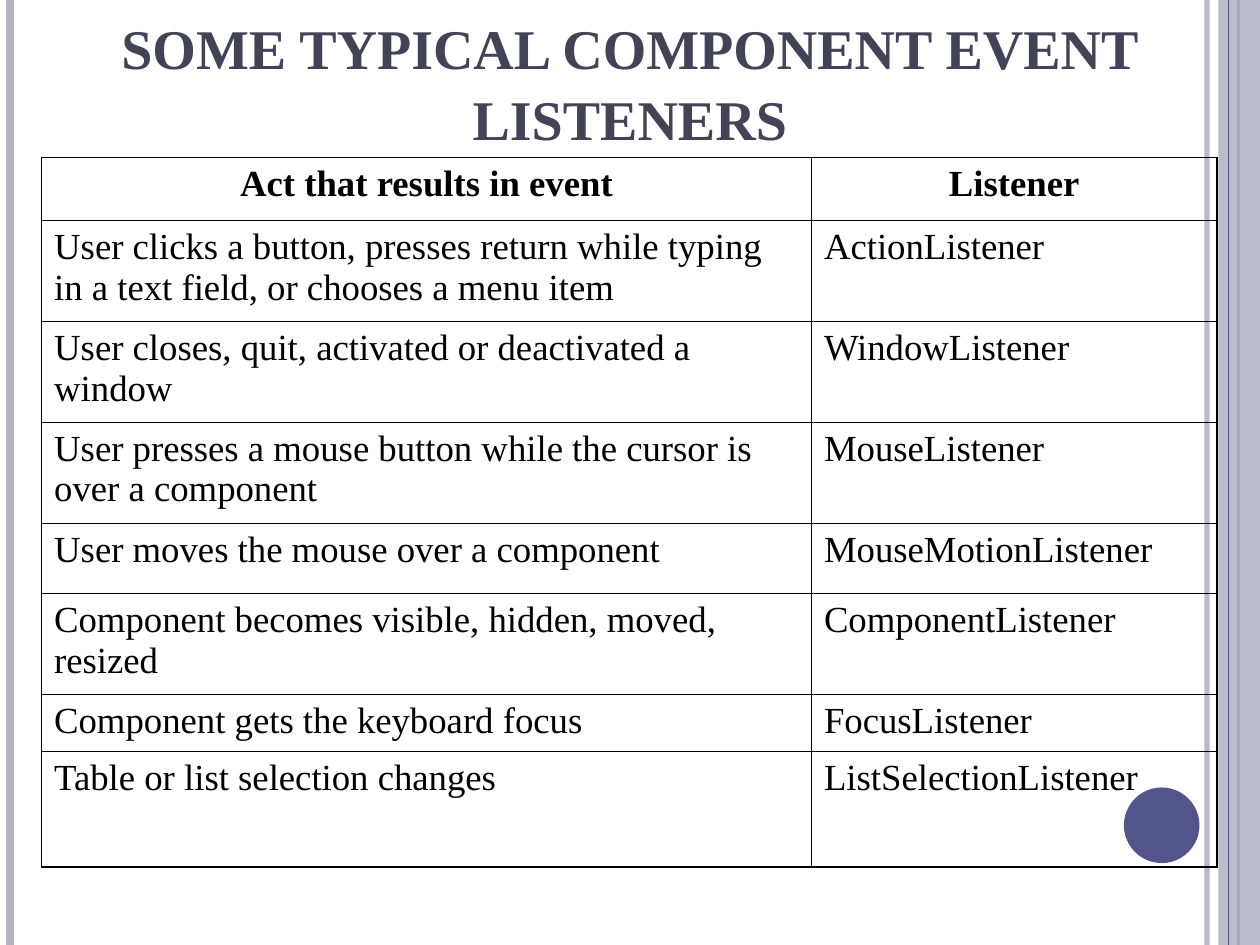
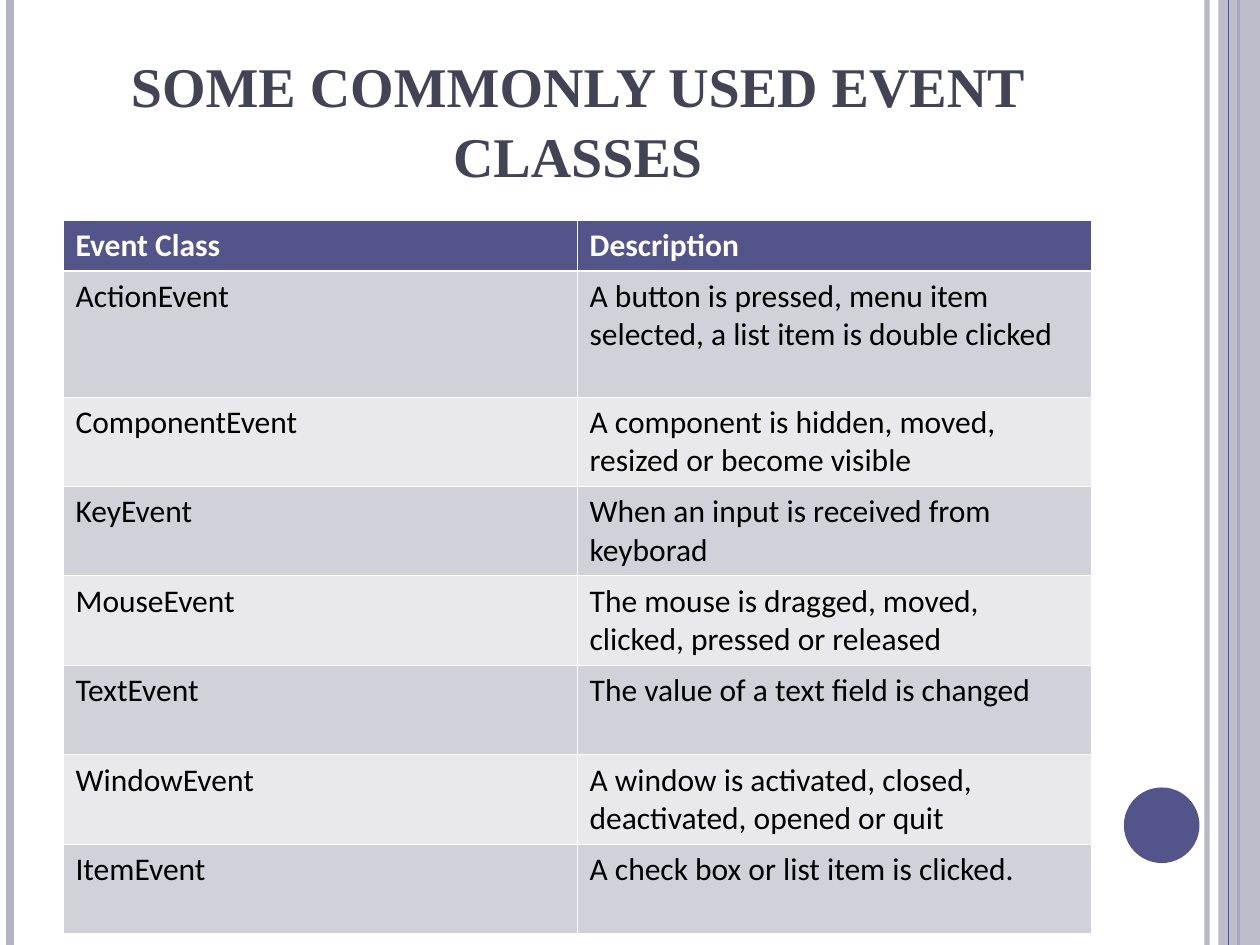
from lxml import etree
from pptx import Presentation
from pptx.dml.color import RGBColor
from pptx.enum import shapes, text
from pptx.oxml import ns
from pptx.util import Inches, Pt

WIDTH, HEIGHT = 10, 7.5
SERIF, SANS = "Times New Roman", "Calibri"
COLORS = {
    "title": "424456", "accent": "53548A", "band": "B3B3C4",
    "odd row": "D1D1DA", "even row": "E9E9ED",
    "black": "000000", "white": "FFFFFF",
}
STRIPES = [
    {"x": 9.58, "color": "band", "weight": 3, "opacity": 93},
    {"x": 0.08, "color": "band", "weight": 4.5},
    {"x": 9.83, "color": "accent", "weight": 1.5},
]
SIDE_BAND = (9.67, 0, 0.33, HEIGHT)
BAND_STRIPE = {"x": 9.75, "color": "accent", "weight": 0.75}
BADGE = (8.92, 6.25, 0.6, 0.6)

LISTENERS = {
    "title": "SOME TYPICAL COMPONENT EVENT LISTENERS",
    "title box": (0.5, 0, 9, 1.25),
    "origin": (0.33, 1.25),
    "columns": [6.11, 3.22],
    "rows": [
        (0.5, "Act that results in event", "Listener"),
        (0.8, "User clicks a button, presses return while typing in a text field, "
              "or chooses a menu item", "ActionListener"),
        (0.8, "User closes, quit, activated or deactivated a window", "WindowListener"),
        (0.8, "User presses a mouse button while the cursor is over a component",
         "MouseListener"),
        (0.56, "User moves the mouse over a component", "MouseMotionListener"),
        (0.8, "Component becomes visible, hidden, moved, resized", "ComponentListener"),
        (0.45, "Component gets the keyboard focus", "FocusListener"),
        (0.92, "Table or list selection changes", "ListSelectionListener"),
    ],
    "font": {"font": SERIF, "size": 21, "space_before": 5.2},
    "header": {"align": text.PP_ALIGN.CENTER},
    "fills": None,
    "border": {"color": "black", "outer": 1.08, "header": 0.45},
}
EVENT_CLASSES = {
    "title": "SOME COMMONLY USED EVENT CLASSES",
    "title box": (0.5, 0.3, 8.17, 1.25),
    "origin": (0.5, 1.75),
    "columns": [4.08, 4.08],
    "rows": [
        (0.4, "Event Class", "Description"),
        (1, "ActionEvent",
         "A button is pressed, menu item selected, a list item is double clicked"),
        (0.71, "ComponentEvent", "A component is hidden, moved, resized or become visible"),
        (0.71, "KeyEvent", "When an input is received from keyborad"),
        (0.71, "MouseEvent", "The mouse is dragged, moved, clicked, pressed or released"),
        (0.71, "TextEvent", "The value of a text field is changed"),
        (0.71, "WindowEvent", "A window is activated, closed, deactivated, opened or quit"),
        (0.71, "ItemEvent", "A check box or list item is clicked."),
    ],
    "font": {"font": SANS, "size": 18},
    "header": {"color": "white"},
    "fills": ("accent", "odd row", "even row"),
    "border": {"color": "white", "outer": 0.45, "header": 1.47},
}
INNER_BORDER = 0.45


def rgb(name):
    return RGBColor.from_string(COLORS[name])


def set_opacity(element, percent):
    color = element.find(".//" + ns.qn("a:srgbClr"))
    etree.SubElement(color, ns.qn("a:alpha"), val=str(percent * 1000))


def write(frame, content, font, size, color="black", bold=False,
          align=text.PP_ALIGN.LEFT, space_before=0, line_spacing=None):
    frame.word_wrap = True
    paragraph = frame.paragraphs[0]
    paragraph.alignment = align
    paragraph.space_before = Pt(space_before)
    paragraph.line_spacing = line_spacing
    run = paragraph.add_run()
    run.text = content
    run.font.name, run.font.size, run.font.bold = font, Pt(size), bold
    run.font.color.rgb = rgb(color)


def add_stripe(slide, x, color, weight, opacity=100):
    stripe = slide.shapes.add_connector(
        shapes.MSO_CONNECTOR.STRAIGHT, Inches(x), 0, Inches(x), Inches(HEIGHT))
    stripe.line.color.rgb = rgb(color)
    stripe.line.width = Pt(weight)
    properties = stripe._element.spPr
    if opacity < 100:
        set_opacity(properties, opacity)
    etree.SubElement(properties, ns.qn("a:effectLst"))


def add_solid(slide, kind, box, color):
    shape = slide.shapes.add_shape(kind, *map(Inches, box))
    shape.shadow.inherit = False
    shape.fill.solid()
    shape.fill.fore_color.rgb = rgb(color)
    shape.line.fill.background()
    return shape


def add_frame(slide):
    for stripe in STRIPES:
        add_stripe(slide, **stripe)
    band = add_solid(slide, shapes.MSO_SHAPE.RECTANGLE, SIDE_BAND, "band")
    set_opacity(band._element.spPr, 87)
    add_stripe(slide, **BAND_STRIPE)
    add_solid(slide, shapes.MSO_SHAPE.OVAL, BADGE, "accent")


def add_title(slide, content, box):
    frame = slide.shapes.add_textbox(*map(Inches, box)).text_frame
    frame.vertical_anchor = text.MSO_ANCHOR.BOTTOM
    write(frame, content, SERIF, 32, color="title", bold=True,
          align=text.PP_ALIGN.CENTER, line_spacing=1.05)


def set_borders(cell, color, weights):
    properties = cell._tc.get_or_add_tcPr()
    for side, weight in weights.items():
        line = etree.SubElement(properties, ns.qn("a:ln" + side), w=str(Pt(weight)))
        fill = etree.SubElement(line, ns.qn("a:solidFill"))
        etree.SubElement(fill, ns.qn("a:srgbClr"), val=COLORS[color])


def fill_cell(cell, fills, row):
    if fills is None:
        cell.fill.background()
        return
    header, odd, even = fills
    cell.fill.solid()
    cell.fill.fore_color.rgb = rgb(header if row == 0 else odd if row % 2 else even)


def add_grid(slide, content):
    rows, columns, border = content["rows"], content["columns"], content["border"]
    size = sum(columns), sum(height for height, *_ in rows)
    table = slide.shapes.add_table(
        len(rows), len(columns), *map(Inches, content["origin"] + size)).table
    table.first_row = table.horz_banding = False
    for column, width in zip(table.columns, columns):
        column.width = Inches(width)

    def horizontal(edge):
        if edge in (0, len(rows)):
            return border["outer"]
        return border["header"] if edge == 1 else INNER_BORDER

    def vertical(edge):
        return border["outer"] if edge in (0, len(columns)) else INNER_BORDER

    for row, (height, *values) in enumerate(rows):
        table.rows[row].height = Inches(height)
        header = content["header"] if row == 0 else {}
        for column, value in enumerate(values):
            cell = table.cell(row, column)
            write(cell.text_frame, value, bold=row == 0, **content["font"], **header)
            set_borders(cell, border["color"], {
                "L": vertical(column), "R": vertical(column + 1),
                "T": horizontal(row), "B": horizontal(row + 1)})
            fill_cell(cell, content["fills"], row)


def main():
    presentation = Presentation()
    presentation.slide_width, presentation.slide_height = Inches(WIDTH), Inches(HEIGHT)
    for content in (LISTENERS, EVENT_CLASSES):
        slide = presentation.slides.add_slide(presentation.slide_layouts[6])
        add_frame(slide)
        add_title(slide, content["title"], content["title box"])
        add_grid(slide, content)
    presentation.save("out.pptx")


if __name__ == "__main__":
    main()
